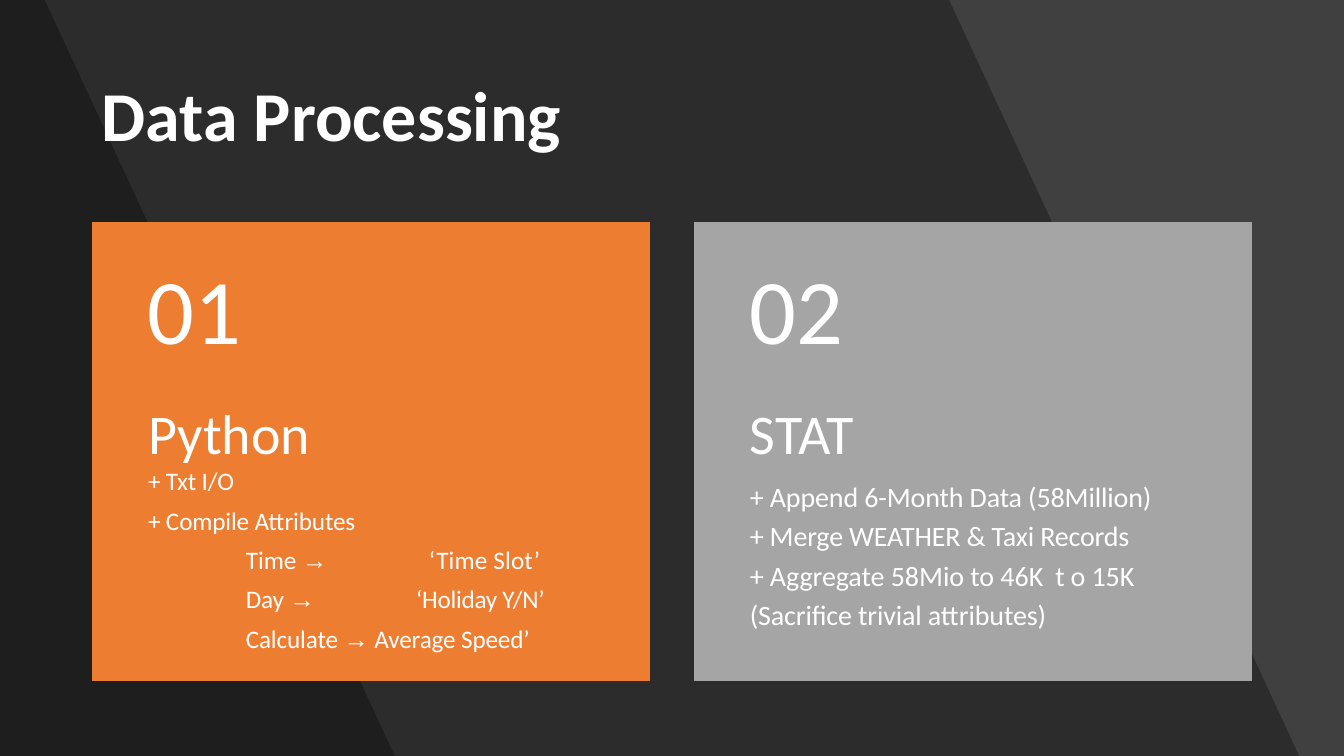
from lxml import etree
from pptx import Presentation
from pptx.dml.color import RGBColor
from pptx.enum.shapes import MSO_SHAPE
from pptx.enum.text import MSO_ANCHOR, MSO_AUTO_SIZE, PP_ALIGN
from pptx.oxml.ns import qn
from pptx.util import Pt

RECT = MSO_SHAPE.RECTANGLE
TOP, MIDDLE = MSO_ANCHOR.TOP, MSO_ANCHOR.MIDDLE
NO_FIT = MSO_AUTO_SIZE.NONE
LEFT = PP_ALIGN.LEFT
COLORS = {"bg": "404040", "shade": "000000", "text": "FFFFFF",
          "python": "ED7D31", "stat": "A5A5A5"}


def rgb(name):
    return RGBColor.from_string(COLORS[name])


def write(sp, paragraphs, box, insets=(7.2, 3.6, 7.2, 3.6), anchor=TOP,
          line=1.0, bold=False):
    """Fill sp with (runs, size, indent, before, after) paragraphs.

    Each run is (text, letter spacing) with an optional font name.
    """
    sp.left, sp.top, sp.width, sp.height = map(Pt, box)
    tf = sp.text_frame
    tf.word_wrap = True
    tf.auto_size = NO_FIT
    tf.vertical_anchor = anchor
    tf.margin_left, tf.margin_top, tf.margin_right, tf.margin_bottom = map(Pt, insets)
    for i, (runs, size, indent, before, after) in enumerate(paragraphs):
        p = tf.add_paragraph() if i else tf.paragraphs[0]
        pPr = p._p.get_or_add_pPr()
        pPr.set("marL", str(Pt(indent)))
        pPr.set("indent", "0")
        etree.SubElement(pPr, qn("a:buNone"))
        p.alignment = LEFT
        p.line_spacing = line
        p.space_before, p.space_after = Pt(before), Pt(after)
        for text, spacing, *font in runs:
            r = p.add_run()
            r.text = text
            r.font.name = font[0] if font else "Calibri"
            r.font.size = Pt(size)
            r.font.bold = bold
            r.font.color.rgb = rgb("text")
            r._r.get_or_add_rPr().set("spc", str(round(spacing * 100)))


prs = Presentation()
prs.slide_width, prs.slide_height = Pt(960), Pt(540)
s = prs.slides.add_slide(prs.slide_layouts[3])
s.background.fill.solid()
s.background.fill.fore_color.rgb = rgb("bg")
title, python_list, stat_list = s.placeholders

# Slanted backdrop bands
for top_x, bottom_x in ((678, 928), (32, 282)):
    builder = s.shapes.build_freeform(0, 0, scale=Pt(1))
    builder.add_line_segments([(top_x, 0), (bottom_x, 540), (0, 540)])
    band = builder.convert_to_shape()
    band.shadow.inherit = False
    band.fill.solid()
    band.fill.fore_color.rgb = rgb("shade")
    color = band.fill._xPr.find(qn("a:solidFill"))[0]
    etree.SubElement(color, qn("a:alpha")).set("val", "30000")
    band.line.fill.background()

# Numbered cards
CARD_TOP, CARD_W, CARD_H, NUMBER_H = 159, 398, 327, 131
STAT_X = 496
for number, x, name in (("01", 66, "python"), ("02", STAT_X, "stat")):
    card = s.shapes.add_shape(RECT, Pt(x), Pt(CARD_TOP), Pt(CARD_W), Pt(CARD_H))
    card.shadow.inherit = False
    card.fill.solid()
    card.fill.fore_color.rgb = rgb(name)
    card.line.color.rgb = rgb(name)
    card.line.width = Pt(1)
    write(s.shapes.add_textbox(0, 0, 0, 0), [([(number, 0)], 66, 0, 0, 0)],
          (x, CARD_TOP, CARD_W, NUMBER_H), (39.6, 13, 39.6, 13), MIDDLE, 0.9)

# Placeholders go in front of the cards
for sp in (title, python_list, stat_list):
    s.shapes._spTree.append(sp._element)

write(title, [([("Data Processing", 0)], 50, 0, 0, 0)],
      (65.5, 29, 829, 104), anchor=MIDDLE, bold=True)

write(python_list, [
    ([("Python", 0.1)], 40, 39.6, 0, 0),
    ([("+ Txt I/O", -0.1)], 18, 39.6, 0, 0),
    ([("+ Compile Attributes", -0.1)], 18, 39.6, 6.5, 0),
    ([("Time ", 0), ("→ ", 33.7, "Arial"), ("‘Time Slot’", 0.1)],
     18, 109.4, 6.5, 0),
    ([("Day ", -0.1), ("→ ", 33.7, "Arial"), ("‘Holiday Y/N’", -0.2)],
     18, 109.4, 6.5, 0),
    ([("Calculate ", -0.1), ("→", 4, "Arial"), ("Average Speed’", -0.1)],
     18, 109.4, 6.5, 0),
], (59, 281, 480, 193))

stat_items = [
    [("+ Append 6-Month Data (58Million)", -0.1)],
    [("+ Merge WEATHER & Taxi Records", -0.15)],
    [("+ Aggregate 58Mio to 46K", -0.05), (" to", 4.3), ("15K", 0)],
    [("(Sacrifice trivial attributes)", -0.1)],
]
write(stat_list, [([("STAT", 0.1)], 40, 0, 0, 12)]
      + [(runs, 20, 0, 0, 6.6) for runs in stat_items],
      (STAT_X, CARD_TOP + NUMBER_H, CARD_W, CARD_H - NUMBER_H),
      (39.6, 0, 39.6, 26), line=0.9)

prs.save("out.pptx")
